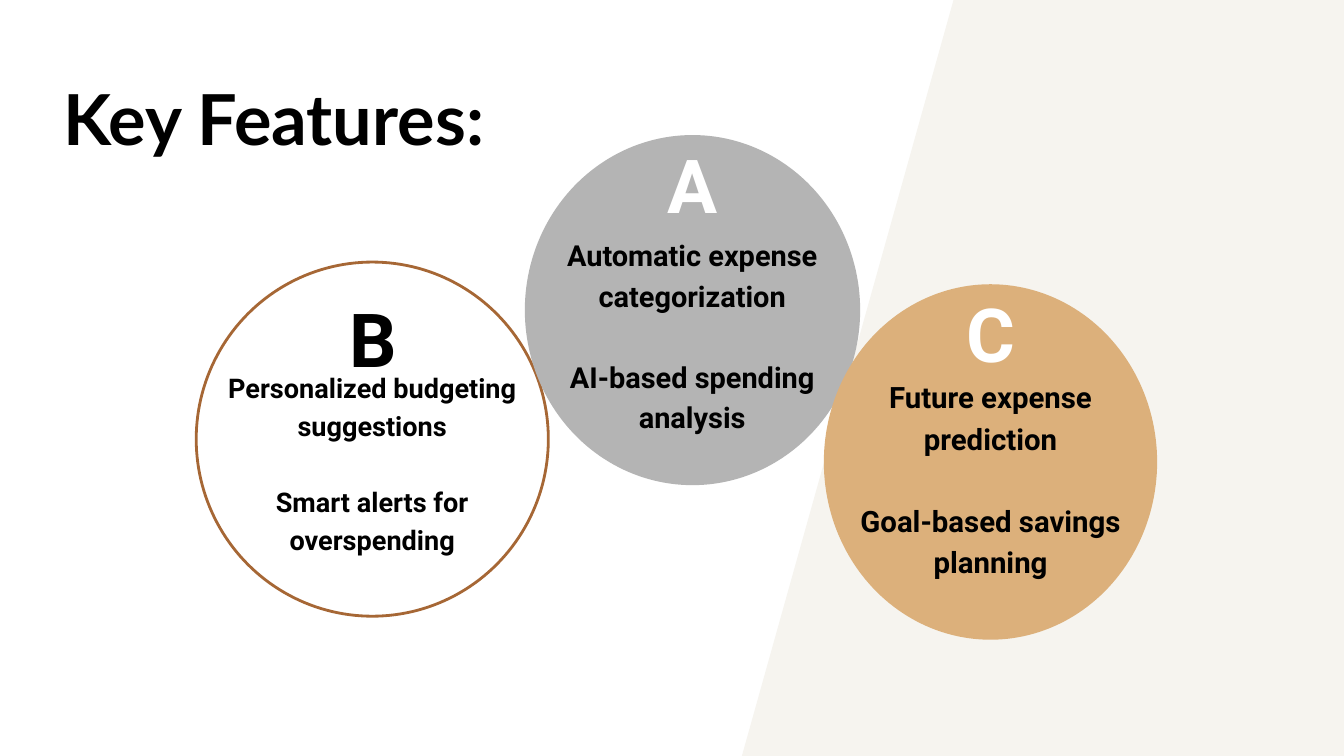
import pptx
import pptx.dml.color
import pptx.enum.shapes
import pptx.enum.text
import pptx.util

Inches = pptx.util.Inches
Pt = pptx.util.Pt
Align = pptx.enum.text.PP_ALIGN

BLACK, WHITE = "000000", "FFFFFF"
CREAM, BROWN, GREY, TAN = "F6F4EF", "A66735", "B4B4B4", "DCB07B"
TITLE_FONT, BODY_FONT = "Lato", "Roboto"


def color(value):
    return pptx.dml.color.RGBColor.from_string(value)


class FeatureSlide:
    def __init__(self, presentation):
        self.slide = presentation.slides.add_slide(presentation.slide_layouts[5])
        self.slide.background.fill.solid()
        self.slide.background.fill.fore_color.rgb = color(WHITE)

    def paint(self, shape, fill, line=None):
        shape.shadow.inherit = False
        shape.fill.solid()
        shape.fill.fore_color.rgb = color(fill)
        if line:
            shape.line.color.rgb = color(line)
            shape.line.width = Pt(3)
        else:
            shape.line.fill.background()

    def set_text(self, shape, paragraphs, font, size, leading, ink=BLACK,
                 align=Align.CENTER, wrap=True):
        """Fill a shape with bold paragraphs set one empty line apart."""
        frame = shape.text_frame
        frame.margin_left = frame.margin_right = 0
        frame.margin_top = frame.margin_bottom = 0
        frame.vertical_anchor = pptx.enum.text.MSO_ANCHOR.TOP
        frame.auto_size = pptx.enum.text.MSO_AUTO_SIZE.NONE
        frame.word_wrap = wrap
        frame.text = "\n".join(paragraphs)
        for index, paragraph in enumerate(frame.paragraphs):
            paragraph.alignment = align
            paragraph.line_spacing = Pt(leading)
            paragraph.space_before = Pt(leading if index else 0)
            paragraph.font.name = font
            paragraph.font.size = Pt(size)
            paragraph.font.bold = True
            paragraph.font.color.rgb = color(ink)

    def title(self, text, box):
        title = self.slide.shapes.title
        title.left, title.top, title.width, title.height = map(Inches, box)
        self.set_text(title, [text], TITLE_FONT, 75.3, 95.6, align=Align.LEFT)

    def panel(self, corners, fill):
        points = [(Inches(x), Inches(y)) for x, y in corners]
        builder = self.slide.shapes.build_freeform(*points[0])
        builder.add_line_segments(points[1:], close=True)
        self.paint(builder.convert_to_shape(), fill)

    def circle(self, box, fill, line=None):
        circle = self.slide.shapes.add_shape(
            pptx.enum.shapes.MSO_SHAPE.OVAL, *map(Inches, box))
        self.paint(circle, fill, line)

    def letter(self, text, box, ink):
        letter = self.slide.shapes.add_textbox(*map(Inches, box))
        self.set_text(letter, [text], BODY_FONT, 79.8, 111.7, ink, wrap=False)

    def features(self, paragraphs, box, size):
        features = self.slide.shapes.add_textbox(*map(Inches, box))
        self.set_text(features, paragraphs, BODY_FONT, size, size * 1.4)


def main():
    presentation = pptx.Presentation()
    presentation.slide_width = Inches(20)
    presentation.slide_height = Inches(11.25)

    page = FeatureSlide(presentation)
    page.title("Key Features:", (0.94, 1.05, 7.65, 1.3))
    page.panel([(14.19, 0), (20, 0), (20, 11.25), (11.04, 11.25)], CREAM)

    page.circle((2.92, 3.9, 5.24, 5.27), WHITE, BROWN)
    page.letter("B", (5.22, 4.14, 0.66, 1.49), BLACK)
    page.features(["Personalized budgeting suggestions", "Smart alerts for overspending"],
                  (2.92, 5.45, 5.24, 2.79), 29)

    page.circle((7.81, 2.01, 4.99, 5.21), GREY)
    page.letter("A", (10, 1.84, 0.61, 1.49), WHITE)
    page.features(["Automatic expense categorization", "AI-based spending analysis"],
                  (8.38, 3.45, 3.84, 2.96), 31)

    page.circle((12.26, 4.23, 4.96, 5.29), TAN)
    page.letter("C", (14.42, 4.07, 0.64, 1.49), WHITE)
    page.features(["Future expense prediction", "Goal-based savings planning"],
                  (12.63, 5.56, 4.22, 3), 31.5)

    presentation.save("out.pptx")


if __name__ == "__main__":
    main()
